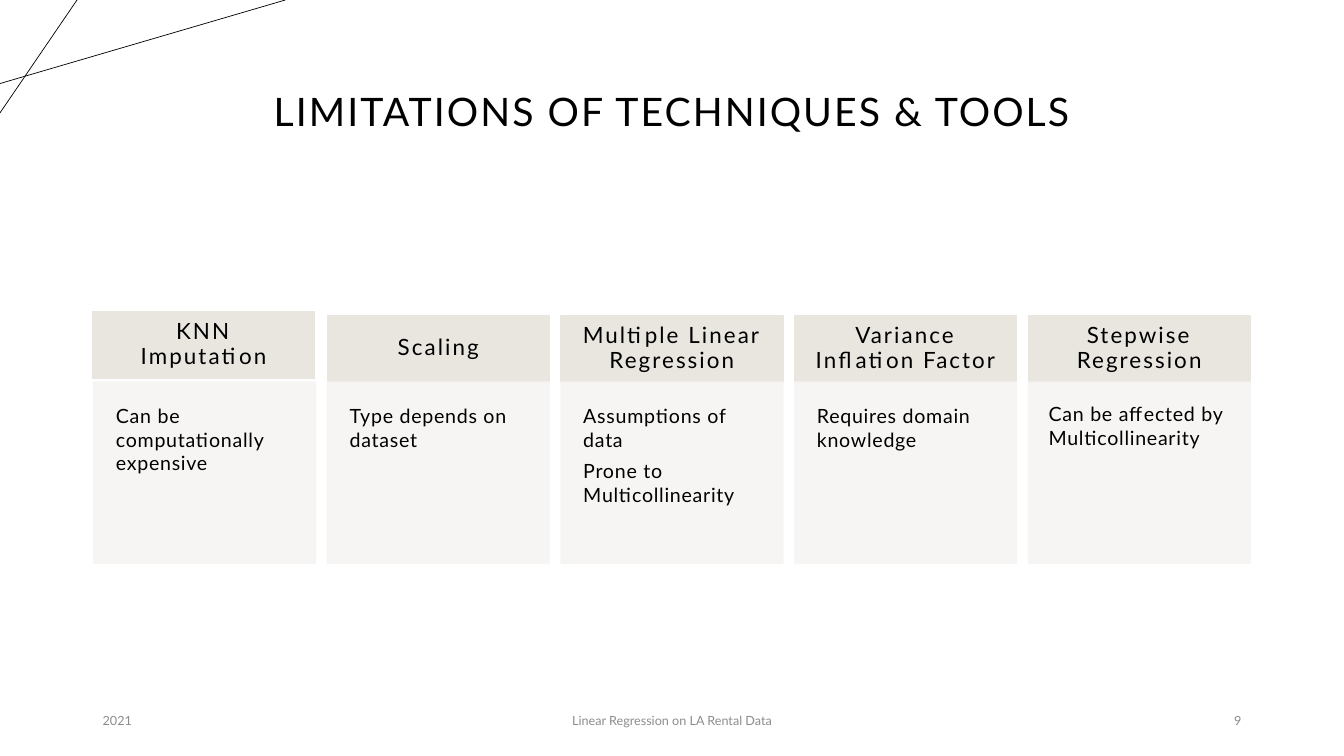
from lxml import etree
from pptx import Presentation
from pptx.dml.color import RGBColor
from pptx.enum.shapes import MSO_CONNECTOR, MSO_SHAPE
from pptx.enum.text import MSO_ANCHOR, PP_ALIGN
from pptx.oxml.ns import qn
from pptx.util import Inches, Pt

LEFT, CENTER, RIGHT = PP_ALIGN.LEFT, PP_ALIGN.CENTER, PP_ALIGN.RIGHT
TOP, MIDDLE = MSO_ANCHOR.TOP, MSO_ANCHOR.MIDDLE
RECTANGLE, STRAIGHT = MSO_SHAPE.RECTANGLE, MSO_CONNECTOR.STRAIGHT

BLACK = RGBColor(0x00, 0x00, 0x00)
GREY = RGBColor(0x8C, 0x8C, 0x8C)
SAND = RGBColor(0xE9, 0xE6, 0xDF)
IVORY = RGBColor(0xF7, 0xF5, 0xF3)

FONT = "Lato"
WIDTH, HEIGHT = 13.33, 7.5
MARGIN = 0.92
CONTENT_WIDTH = WIDTH - 2 * MARGIN
CARD_WIDTH = 2.2
HEADER_HEIGHT = 0.66
BODY_HEIGHT = 1.8

TECHNIQUES = [
    ("KNN Imputation", ["Can be computationally expensive"]),
    ("Scaling", ["Type depends on dataset"]),
    ("Multiple Linear Regression",
     ["Assumptions of data", "Prone to Multicollinearity"]),
    ("Variance Inflation Factor", ["Requires domain knowledge"]),
    ("Stepwise Regression", ["Can be affected by Multicollinearity"]),
]


def inches(*lengths):
    return [Inches(length) for length in lengths]


def write(frame, lines, size, align=LEFT, anchor=MIDDLE, color=BLACK,
          tracking=0, line_spacing=1.0, space_after=0):
    frame.word_wrap = True
    frame.vertical_anchor = anchor
    for index, line in enumerate(lines):
        para = frame.paragraphs[0] if index == 0 else frame.add_paragraph()
        para.text = line
        para.alignment = align
        para.line_spacing = line_spacing
        para.space_after = Pt(space_after)
        para.font.name = FONT
        para.font.size = Pt(size)
        para.font.color.rgb = color
        for span in para.runs:
            span.font._element.set("spc", str(int(tracking * 100)))


def set_inset(frame, inset):
    frame.margin_left = frame.margin_right = Inches(inset)
    frame.margin_top = frame.margin_bottom = Inches(inset)


def add_panel(page, box, color, inset, opacity=100):
    panel = page.shapes.add_shape(RECTANGLE, *inches(*box))
    panel.shadow.inherit = False
    panel.fill.solid()
    panel.fill.fore_color.rgb = color
    panel.line.color.rgb = color
    panel.line.width = Pt(1)
    if opacity < 100:
        for tint in panel._element.spPr.iter(qn("a:srgbClr")):
            etree.SubElement(tint, qn("a:alpha")).set("val", str(opacity * 1000))
    set_inset(panel.text_frame, inset)
    return panel.text_frame


def add_corner_lines(page, width, height):
    for ends in ((0, height * 0.74, width, 0), (width * 0.27, 0, 0, height)):
        line = page.shapes.add_connector(STRAIGHT, *inches(*ends))
        line.line.color.rgb = BLACK
        line.line.width = Pt(0.5)
        etree.SubElement(line._element.spPr, qn("a:effectLst"))


def add_title(page, box, text):
    title = page.shapes.title
    title.left, title.top, title.width, title.height = inches(*box)
    write(title.text_frame, [text], 28, CENTER, tracking=1.5, line_spacing=0.9)


def add_card(page, left, top, heading, points, header_shift=(0, 0), inset=0.22):
    across, down = header_shift
    header = add_panel(page, (left + across, top + down, CARD_WIDTH, HEADER_HEIGHT),
                       SAND, 0.17)
    write(header, [heading], 16, CENTER, tracking=1.5, line_spacing=0.9)
    body = add_panel(page, (left, top + HEADER_HEIGHT, CARD_WIDTH, BODY_HEIGHT),
                     IVORY, inset, 90)
    write(body, points, 14, anchor=TOP, tracking=0.5, space_after=5.5)


def add_cards(page, left, top, width):
    last = len(TECHNIQUES) - 1
    pitch = (width - CARD_WIDTH) / last
    for column, (heading, points) in enumerate(TECHNIQUES):
        add_card(page, left + column * pitch, top, heading, points,
                 header_shift=(-0.01, -0.04) if column == 0 else (0, 0),
                 inset=0.2 if column == last else 0.22)


def add_footer(page, left, top, width, height):
    side, middle = 3, 4.5
    entries = [
        ("2021", left, side, LEFT),
        ("Linear Regression on LA Rental Data", left + (width - middle) / 2,
         middle, CENTER),
        ("9", left + width - side, side, RIGHT),
    ]
    for text, start, span_width, align in entries:
        box = page.shapes.add_textbox(*inches(start, top, span_width, height))
        write(box.text_frame, [text], 9, align, color=GREY)


def build_limitations_page(deck):
    page = deck.slides.add_slide(deck.slide_layouts[5])
    add_corner_lines(page, 2.83, 1.12)
    add_title(page, (MARGIN, 0.4, CONTENT_WIDTH, 1.45),
              "LIMITATIONS OF TECHNIQUES & TOOLS")
    add_cards(page, MARGIN + 0.01, 3.13, CONTENT_WIDTH - 0.02)
    add_footer(page, MARGIN, 6.95, CONTENT_WIDTH, 0.4)


def main():
    deck = Presentation()
    deck.slide_width, deck.slide_height = inches(WIDTH, HEIGHT)
    build_limitations_page(deck)
    deck.save("out.pptx")


if __name__ == "__main__":
    main()
